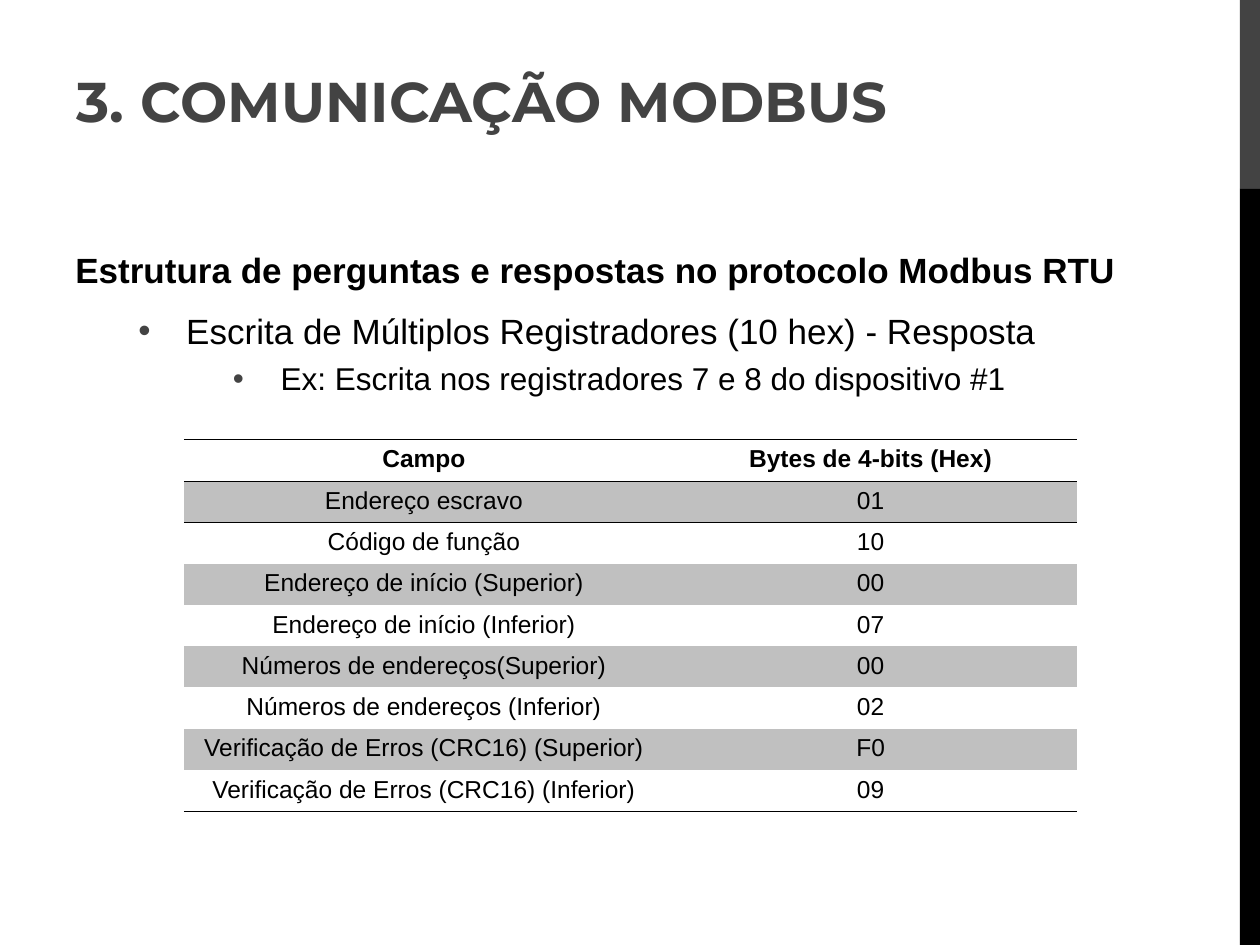
from lxml.etree import SubElement
from pptx import Presentation
from pptx.dml.color import RGBColor
from pptx.enum.shapes import MSO_SHAPE as Shape
from pptx.enum.text import MSO_ANCHOR as Anchor, PP_ALIGN as Align
from pptx.oxml import parse_xml
from pptx.oxml.ns import nsdecls, qn
from pptx.util import Inches, Pt

BLACK = RGBColor(0x00, 0x00, 0x00)
CHARCOAL = RGBColor(0x43, 0x43, 0x43)
BAND_GRAY = RGBColor(0xC0, 0xC0, 0xC0)
NO_STYLE_NO_GRID = "{2D5ABB26-0587-4C30-8999-92F81FD0307C}"

deck = Presentation()
deck.slide_width, deck.slide_height = Inches(10), Inches(7.5)
page = deck.slides.add_slide(deck.slide_layouts[6])


def add_span(para, text, name, size, bold, color):
    span = para.add_run()
    span.text = text
    for key, value in {"name": name, "size": Pt(size), "bold": bold}.items():
        setattr(span.font, key, value)
    span.font.color.rgb = color


def add_frame(left, top, width, height, anchor):
    """Add a wrapping text box, in inches, and return its text frame."""
    box = page.shapes.add_textbox(*map(Inches, (left, top, width, height)))
    box.text_frame.word_wrap = True
    box.text_frame.vertical_anchor = anchor
    return box.text_frame


# Side strip: the top fifth is charcoal, the rest black
strip_left, strip_split = Inches(9.84), deck.slide_height // 5
for top, bottom, color in (
    (0, strip_split, CHARCOAL),
    (strip_split, deck.slide_height, BLACK),
):
    strip = page.shapes.add_shape(
        Shape.RECTANGLE, strip_left, top, deck.slide_width - strip_left, bottom - top
    )
    strip.shadow.inherit = False
    strip.fill.solid()
    strip.fill.fore_color.rgb = color
    strip.line.fill.background()

# Outline: text, level, left margin, space before, space after, size
OUTLINE = (
    ("Estrutura de perguntas e respostas no protocolo Modbus RTU", 0, 0.38, 0, 6, 20),
    ("Escrita de Múltiplos Registradores (10 hex) - Resposta", 1, 0.88, 5, 0, 20),
    ("Ex: Escrita nos registradores 7 e 8 do dispositivo #1", 2, 1.63, 4.5, 0, 18),
)
outline = add_frame(0.5, 1.92, 8.6, 4.78, Anchor.TOP)
for text, level, margin, before, after, size in OUTLINE:
    para = outline.add_paragraph() if level else outline.paragraphs[0]
    para.level = level
    para.space_before, para.space_after = Pt(before), Pt(after)
    props = para._p.get_or_add_pPr()
    props.set("marL", str(Inches(margin)))
    props.set("indent", str(Inches(-0.38)))
    if level:
        bullet_color = SubElement(props, qn("a:buClr"))
        SubElement(bullet_color, qn("a:srgbClr"), val=str(CHARCOAL))
        SubElement(props, qn("a:buFont"), typeface="Arial")
        SubElement(props, qn("a:buChar"), char="•")
    else:
        SubElement(props, qn("a:buNone"))
    add_span(para, text, "Arial", size, level == 0, BLACK)

# Table of the response frame
FIELDS = (
    ("Campo", "Bytes de 4-bits (Hex)"),
    ("Endereço escravo", "01"),
    ("Código de função", "10"),
    ("Endereço de início (Superior)", "00"),
    ("Endereço de início (Inferior)", "07"),
    ("Números de endereços(Superior)", "00"),
    ("Números de endereços (Inferior)", "02"),
    ("Verificação de Erros (CRC16) (Superior)", "F0"),
    ("Verificação de Erros (CRC16) (Inferior)", "09"),
)
COLUMN_WIDTHS = (3.81, 3.28)
ROW_HEIGHT = 0.31
CELL_FORMAT = {
    "margin_left": Inches(0.07),
    "margin_right": Inches(0.07),
    "margin_top": Pt(3.4),
    "margin_bottom": Pt(3.4),
}
last_row = len(FIELDS) - 1
table = page.shapes.add_table(
    len(FIELDS), len(COLUMN_WIDTHS), Inches(1.46), Inches(3.49),
    Inches(sum(COLUMN_WIDTHS)), Inches(ROW_HEIGHT * len(FIELDS)),
).table
table._tbl.tblPr.find(qn("a:tableStyleId")).text = NO_STYLE_NO_GRID
table.horz_banding = False
for column, width in zip(table.columns, COLUMN_WIDTHS):
    column.width = Inches(width)
for r, fields in enumerate(FIELDS):
    table.rows[r].height = Inches(ROW_HEIGHT)
    rules = {"lnT": r in (0, 1), "lnB": r in (0, last_row)}
    for c, text in enumerate(fields):
        cell = table.cell(r, c)
        for key, value in CELL_FORMAT.items():
            setattr(cell, key, value)
        para = cell.text_frame.paragraphs[0]
        para.alignment = Align.CENTER
        add_span(para, text, "Arial", 14, r == 0, BLACK)
        if r % 2:
            cell.fill.solid()
            cell.fill.fore_color.rgb = BAND_GRAY
        else:
            cell.fill.background()
        edges = [edge for edge, shown in rules.items() if shown]
        for place, edge in enumerate(edges):
            cell._tc.get_or_add_tcPr().insert(place, parse_xml(
                f'<a:{edge} {nsdecls("a")} w="{Pt(0.45)}"><a:solidFill>'
                f'<a:srgbClr val="{BLACK}"/></a:solidFill></a:{edge}>'
            ))

title = add_frame(0.51, 0.28, 9.13, 0.83, Anchor.BOTTOM)
add_span(title.paragraphs[0], "3. COMUNICAÇÃO MODBUS", "Montserrat", 32, True, CHARCOAL)

deck.save("out.pptx")
